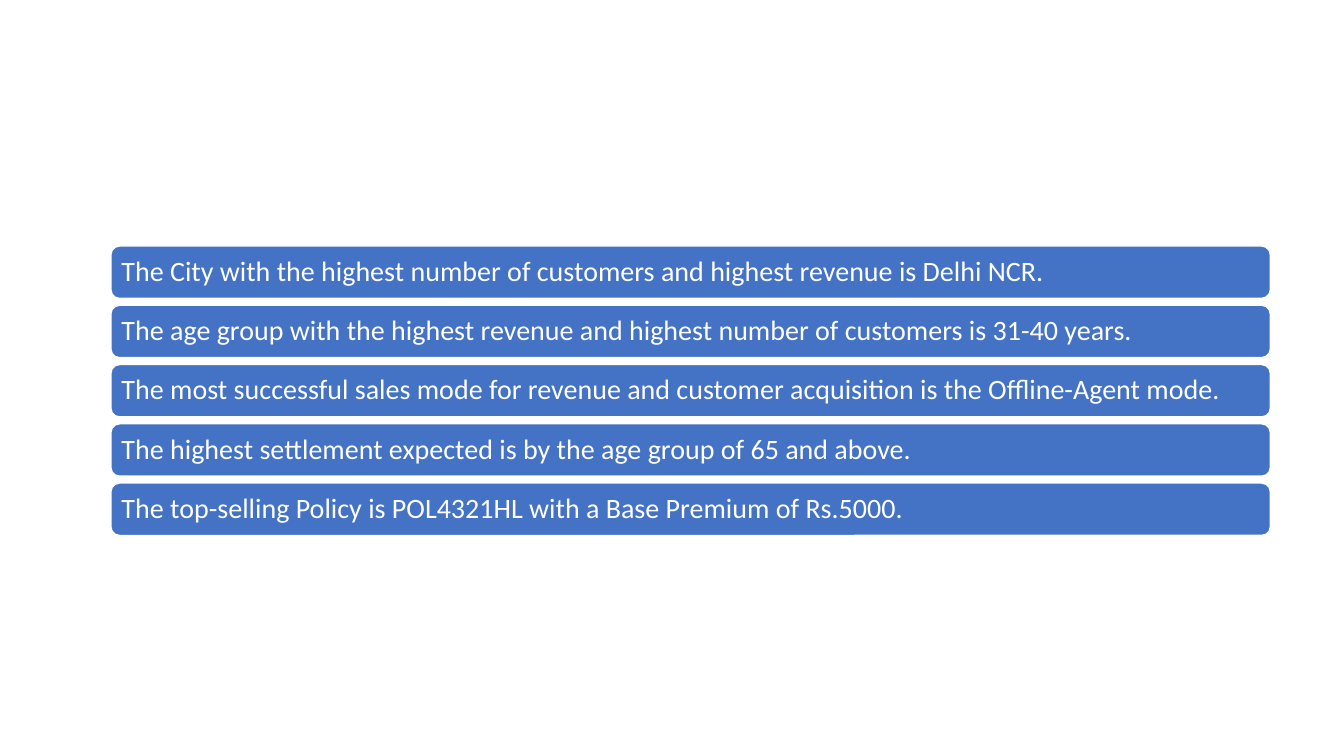
import pptx
import pptx.dml.color
import pptx.enum.shapes
import pptx.enum.text
import pptx.util

Inches = pptx.util.Inches
Pt = pptx.util.Pt

COLORS = {"bar": "4472C4", "white": "FFFFFF"}

FINDINGS = [
    "The City with the highest number of customers and highest revenue is Delhi NCR.",
    "The age group with the highest revenue and highest number of customers is 31-40 years.",
    "The most successful sales mode for revenue and customer acquisition is the Offline-Agent mode.",
    "The highest settlement expected is by the age group of 65 and above.",
    "The top-selling Policy is POL4321HL with a Base Premium of Rs.5000.",
]


class FindingsSlide:
    """Holds the style and the current slide."""

    font = "Calibri"
    size = Pt(20)
    inset = Inches(0.08)

    def __init__(self, slide):
        self.slide = slide

    def color(self, name):
        return pptx.dml.color.RGBColor.from_string(COLORS[name])

    def background(self):
        fill = self.slide.background.fill
        fill.solid()
        fill.fore_color.rgb = self.color("white")

    def bar(self, finding, left, top, width, height):
        bar = self.slide.shapes.add_shape(
            pptx.enum.shapes.MSO_SHAPE.ROUNDED_RECTANGLE,
            Inches(left), Inches(top), Inches(width), Inches(height))
        bar.shadow.inherit = False
        bar.fill.solid()
        bar.fill.fore_color.rgb = self.color("bar")
        bar.line.color.rgb = self.color("white")
        bar.line.width = Pt(1)

        # Finding inside the bar
        frame = bar.text_frame
        frame.text = finding
        frame.word_wrap = True
        frame.vertical_anchor = pptx.enum.text.MSO_ANCHOR.MIDDLE
        frame.margin_left = frame.margin_right = self.inset
        frame.margin_top = frame.margin_bottom = self.inset
        paragraph = frame.paragraphs[0]
        paragraph.alignment = pptx.enum.text.PP_ALIGN.LEFT
        paragraph.line_spacing = 0.9
        font = paragraph.runs[0].font
        font.name = self.font
        font.size = self.size
        font.color.rgb = self.color("white")


def main():
    deck = pptx.Presentation()
    deck.slide_width = Inches(13.33)
    deck.slide_height = Inches(7.5)
    blank_layout = deck.slide_layouts[6]
    findings_slide = FindingsSlide(deck.slides.add_slide(blank_layout))
    findings_slide.background()

    # Evenly spaced stack of findings
    first_top, pitch = 2.44, 0.588
    for row, finding in enumerate(FINDINGS):
        findings_slide.bar(finding, 1.1, first_top + row * pitch, 11.5, 0.52)

    deck.save("out.pptx")


if __name__ == "__main__":
    main()
